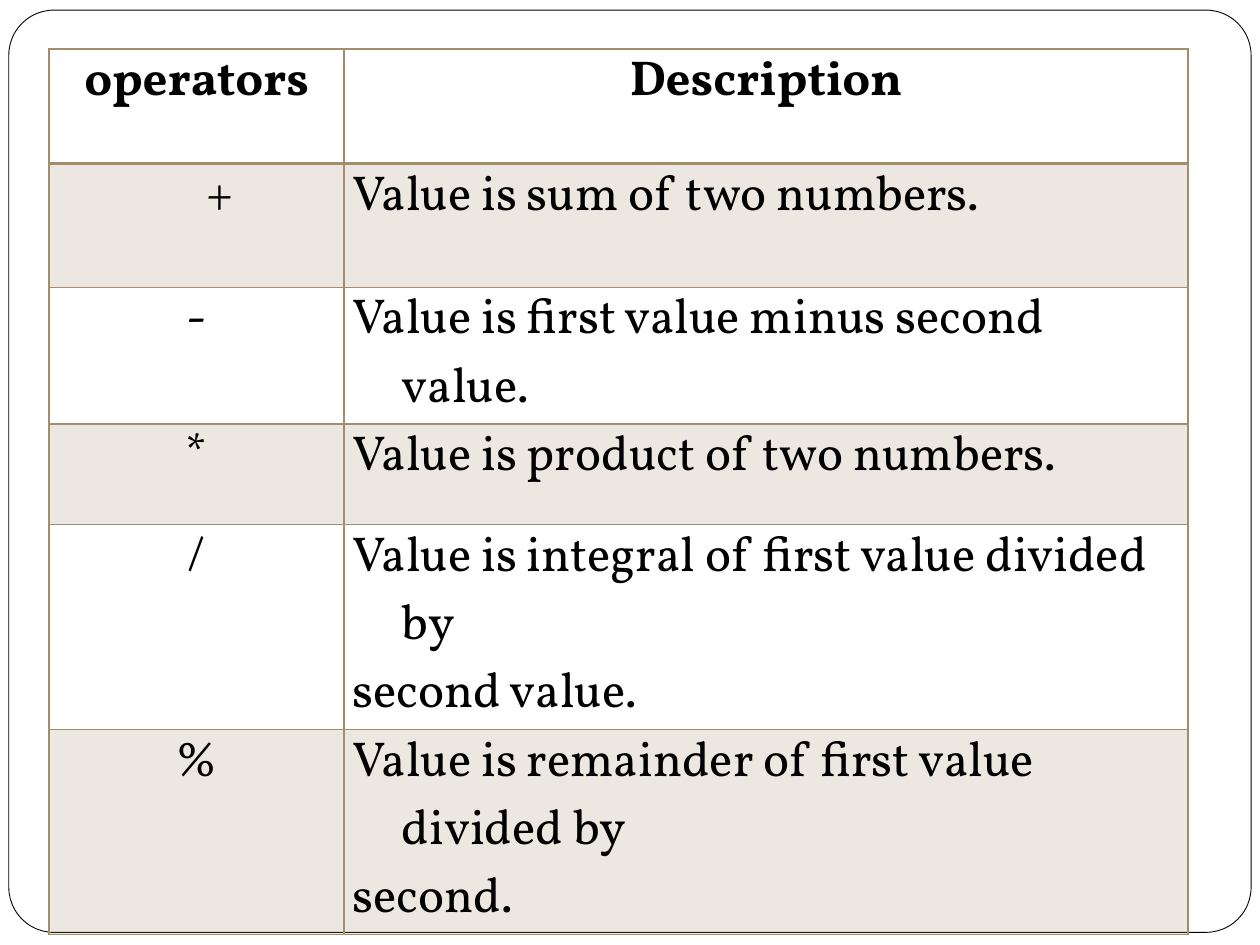
import dataclasses

import lxml.etree
import pptx
import pptx.dml.color
import pptx.enum.shapes
import pptx.enum.text
import pptx.oxml.ns
import pptx.util

Inches = pptx.util.Inches
Pt = pptx.util.Pt
RGBColor = pptx.dml.color.RGBColor
PP_ALIGN = pptx.enum.text.PP_ALIGN
qn = pptx.oxml.ns.qn


@dataclasses.dataclass(frozen=True)
class Theme:
    font: str = "Vollkorn"
    size: int = 28
    text: str = "000000"
    paper: str = "FFFFFF"
    accent: str = "A28E6A"
    band_alpha: int = 20
    frame_line: float = 0.5
    grid_line: float = 1
    header_line: float = 2


THEME = Theme()
HANGING = Inches(0.39)
PLUS_INDENT = Inches(1.18)
COLUMN_WIDTHS = (2.34, 6.7)
ROW_HEIGHTS = (0.91, 0.98, 0.73, 0.8, 1.36, 1.62)
ROWS = (
    ("operators", "Description"),
    ("+", "Value is sum of two numbers."),
    ("-", "Value is first value minus second value."),
    ("*", "Value is product of two numbers."),
    ("/", "Value is integral of first value divided by\nsecond value."),
    ("%", "Value is remainder of first value divided by\nsecond."),
)


def color(value):
    return RGBColor.from_string(value)


def add_frame(page, left, top, width, height):
    """Rounded outline around the page."""
    frame = page.shapes.add_shape(
        pptx.enum.shapes.MSO_SHAPE.ROUNDED_RECTANGLE, left, top, width, height)
    frame.adjustments[0] = 0.049
    frame.shadow.inherit = False
    frame.fill.solid()
    frame.fill.fore_color.rgb = color(THEME.paper)
    frame.line.color.rgb = color(THEME.text)
    frame.line.width = Pt(THEME.frame_line)


def set_borders(cell, widths):
    """Draw the left, right, top and bottom lines, in that order."""
    properties = cell._tc.get_or_add_tcPr()
    for position, (side, width) in enumerate(zip("LRTB", widths)):
        line = lxml.etree.Element(qn(f"a:ln{side}"), w=str(Pt(width)))
        fill = lxml.etree.SubElement(line, qn("a:solidFill"))
        lxml.etree.SubElement(fill, qn("a:srgbClr"), val=THEME.accent)
        properties.insert(position, line)


def fill_cell(cell, banded):
    if not banded:
        cell.fill.background()
        return
    cell.fill.solid()
    cell.fill.fore_color.rgb = color(THEME.accent)
    tint = cell._tc.tcPr.find(".//" + qn("a:srgbClr"))
    lxml.etree.SubElement(tint, qn("a:alpha"), val=str(THEME.band_alpha * 1000))


def write_cell(cell, text, bold, align, margin=HANGING, indent=-HANGING):
    cell.margin_left = cell.margin_right = Inches(0.07)
    cell.margin_top = cell.margin_bottom = 0
    cell.text_frame.text = text
    for para in cell.text_frame.paragraphs:
        para.alignment = align
        para.font.name = THEME.font
        para.font.size = Pt(THEME.size)
        para.font.bold = bold
        para.font.color.rgb = color(THEME.text)
        properties = para._p.get_or_add_pPr()
        properties.set("marL", str(margin))
        properties.set("indent", str(indent))


def add_operator_table(page, left, top, width, height):
    """Operators on the left, their meaning on the right."""
    table = page.shapes.add_table(
        len(ROWS), len(COLUMN_WIDTHS), left, top, width, height).table
    table.first_row = table.horz_banding = False
    for column, size in zip(table.columns, COLUMN_WIDTHS):
        column.width = Inches(size)
    for row, size in zip(table.rows, ROW_HEIGHTS):
        row.height = Inches(size)

    for r, texts in enumerate(ROWS):
        for c, text in enumerate(texts):
            cell = table.cell(r, c)
            header = r == 0
            centred = header or c == 0
            if text == "+":
                write_cell(cell, text, False, PP_ALIGN.LEFT, PLUS_INDENT, 0)
            else:
                write_cell(cell, text, header,
                           PP_ALIGN.CENTER if centred else PP_ALIGN.LEFT)
            fill_cell(cell, r % 2 == 1)
            above = THEME.header_line if r == 1 else THEME.grid_line
            below = THEME.header_line if header else THEME.grid_line
            set_borders(cell, (THEME.grid_line, THEME.grid_line, above, below))


def main():
    deck = pptx.Presentation()
    deck.slide_width, deck.slide_height = Inches(10), Inches(7.5)
    page = deck.slides.add_slide(deck.slide_layouts[6])
    add_frame(page, Inches(0.07), Inches(0.08), Inches(9.86), Inches(7.32))
    add_operator_table(page, Inches(0.39), Inches(0.39),
                       Inches(sum(COLUMN_WIDTHS)), Inches(sum(ROW_HEIGHTS)))
    deck.save("out.pptx")


if __name__ == "__main__":
    main()
